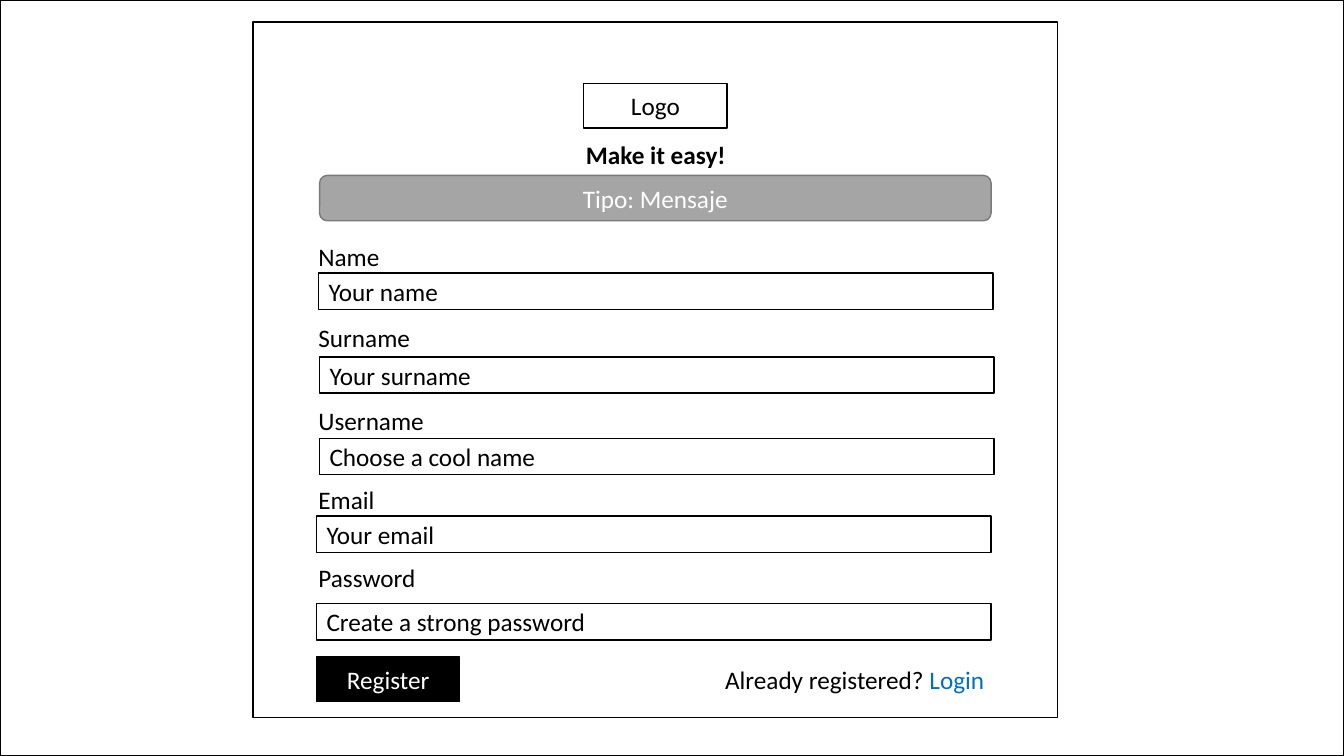
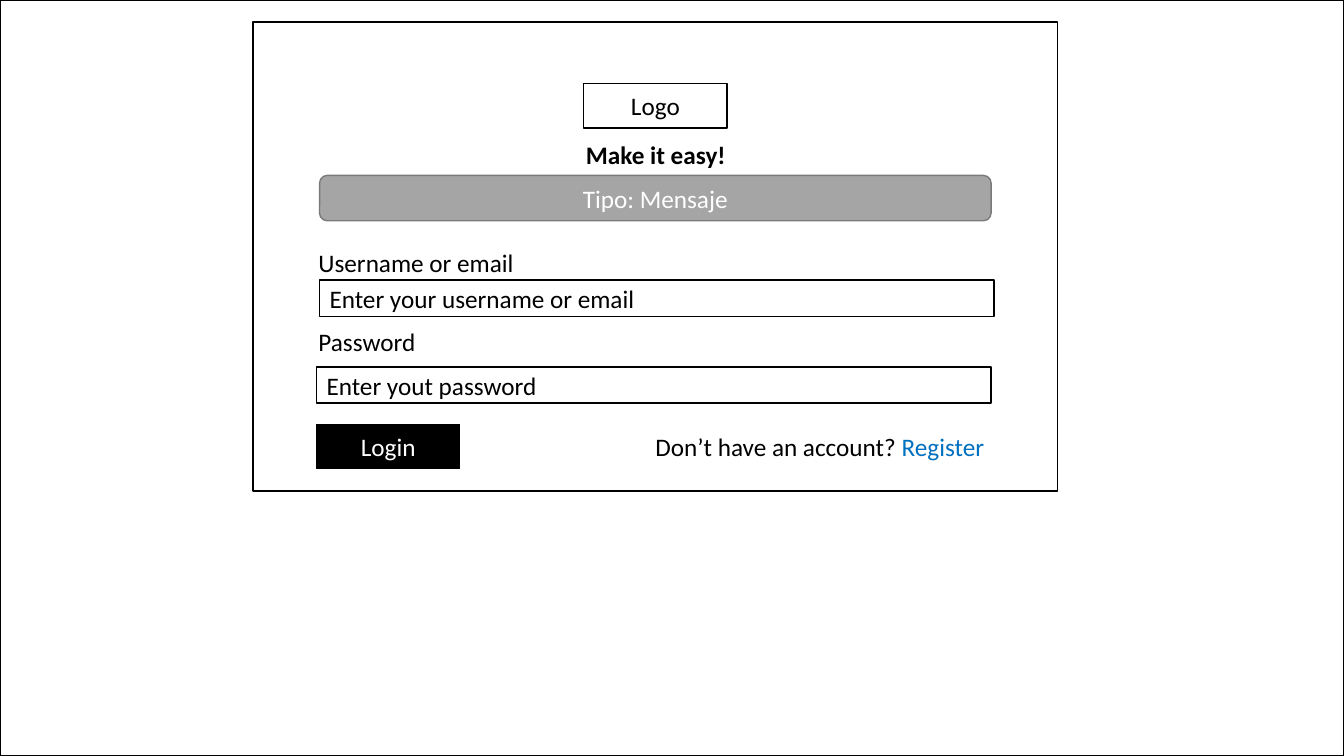
from dataclasses import dataclass

from pptx import Presentation
from pptx.dml.color import RGBColor
from pptx.enum.shapes import MSO_SHAPE
from pptx.enum.text import MSO_ANCHOR, MSO_AUTO_SIZE, PP_ALIGN
from pptx.util import Inches, Pt


@dataclass(frozen=True)
class Theme:
    font: str = "Calibri"
    size: int = 18
    rule: int = 1
    black: str = "000000"
    white: str = "FFFFFF"
    gray: str = "A5A5A5"
    edge: str = "7A7A7A"
    blue: str = "0070C0"


THEME = Theme()
WIDE, HIGH = 13.33, 7.5
LABEL_X, FIELD_W, FIELD_H = 3.06, 6.69, 0.36
BUTTON_W, BUTTON_H, TEXT_H = 1.42, 0.44, 0.4
RIGHT = 9.86

SIGNUP = {
    "height": 6.9,
    "fields": [
        ("Name", 2.34, "Your name", 3.16, 2.71),
        ("Surname", 3.15, "Your surname", 3.17, 3.54),
        ("Username", 3.97, "Choose a cool name", 3.17, 4.35),
        ("Email", 4.76, "Your email", 3.14, 5.12),
        ("Password", 5.53, "Create a strong password", 3.14, 5.99),
    ],
    "button": ("Register", 6.52),
    "prompt": ("Already registered?", " Login", 2.79),
}
LOGIN = {
    "height": 4.65,
    "fields": [
        ("Username or email", 2.4, "Enter your username or email", 3.17, 2.78),
        ("Password", 3.19, "Enter yout password", 3.14, 3.64),
    ],
    "button": ("Login", 4.21),
    "prompt": ("Don’t have an account?", " Register", 3.55),
}


def color(code):
    return RGBColor.from_string(code)


def style(run, ink=THEME.black, bold=False):
    run.font.name = THEME.font
    run.font.size = Pt(THEME.size)
    run.font.bold = bold
    run.font.color.rgb = color(ink)


def write(shape, text, align=PP_ALIGN.LEFT, ink=THEME.black, bold=False):
    frame = shape.text_frame
    frame.text = text
    frame.word_wrap = True
    line = frame.paragraphs[0]
    line.alignment = align
    style(line.runs[0], ink, bold)
    return line


def add_box(slide, area, text="", align=PP_ALIGN.CENTER, fill=THEME.white,
            edge=THEME.black, ink=THEME.black, kind=MSO_SHAPE.RECTANGLE):
    box = slide.shapes.add_shape(kind, *map(Inches, area))
    box.shadow.inherit = False
    box.fill.solid()
    box.fill.fore_color.rgb = color(fill)
    box.line.color.rgb = color(edge)
    box.line.width = Pt(THEME.rule)
    if text:
        box.text_frame.vertical_anchor = MSO_ANCHOR.MIDDLE
        write(box, text, align, ink)


def add_text(slide, area, text, align=PP_ALIGN.LEFT):
    label = slide.shapes.add_textbox(*map(Inches, area))
    line = write(label, text, align)
    label.text_frame.auto_size = MSO_AUTO_SIZE.SHAPE_TO_FIT_TEXT
    return line


def add_title(slide, text):
    title = slide.shapes.title
    tree = title._element.getparent()
    tree.append(title._element)
    title.left, title.top = Inches(4.68), Inches(1.33)
    title.width, title.height = Inches(3.65), Inches(TEXT_H)
    write(title, text, PP_ALIGN.CENTER, bold=True)
    title.text_frame.vertical_anchor = MSO_ANCHOR.TOP
    title.text_frame.auto_size = MSO_AUTO_SIZE.NONE


def add_frame(slide, height):
    add_box(slide, (0, 0, WIDE, HIGH))
    add_box(slide, (2.51, 0.22, 7.98, height))
    add_box(slide, (5.79, 0.83, BUTTON_W, BUTTON_H), "Logo")
    add_title(slide, "Make it easy!")
    add_box(slide, (3.17, 1.74, 6.66, 0.45), "Tipo: Mensaje",
            fill=THEME.gray, edge=THEME.edge, ink=THEME.white,
            kind=MSO_SHAPE.ROUNDED_RECTANGLE)


def add_field(slide, label, label_y, hint, left, top):
    add_box(slide, (left, top, FIELD_W, FIELD_H), hint, PP_ALIGN.LEFT)
    add_text(slide, (LABEL_X, label_y, FIELD_W, TEXT_H), label)


def add_action(slide, button, prompt):
    name, top = button
    ask, link, width = prompt
    add_box(slide, (3.14, top, BUTTON_W, BUTTON_H), name,
            fill=THEME.black, ink=THEME.white)
    area = (RIGHT - width, top + 0.02, width, TEXT_H)
    line = add_text(slide, area, ask, PP_ALIGN.RIGHT)
    run = line.add_run()
    run.text = link
    style(run, THEME.blue)


def add_form(deck, form):
    slide = deck.slides.add_slide(deck.slide_layouts[5])
    add_frame(slide, form["height"])
    for field in form["fields"]:
        add_field(slide, *field)
    add_action(slide, form["button"], form["prompt"])


def main():
    deck = Presentation()
    deck.slide_width, deck.slide_height = Inches(WIDE), Inches(HIGH)
    for form in (SIGNUP, LOGIN):
        add_form(deck, form)
    deck.save("out.pptx")


main()
